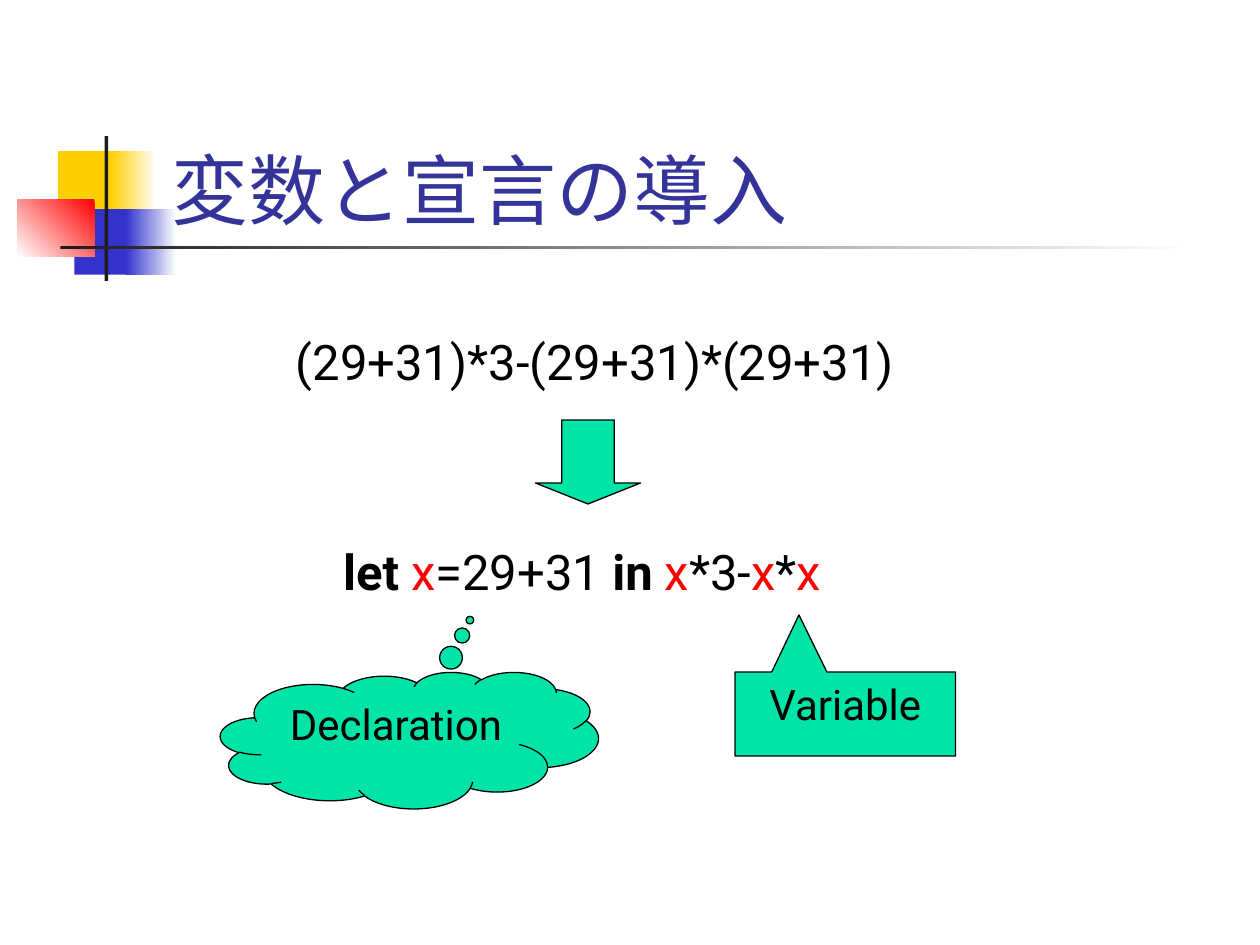
"""Build the slide that introduces variables and declarations."""
from pptx import Presentation
from pptx.dml.color import RGBColor
from pptx.enum.shapes import MSO_SHAPE
from pptx.enum.text import MSO_ANCHOR, MSO_AUTO_SIZE, PP_ALIGN
from pptx.util import Inches, Pt

RECT = MSO_SHAPE.RECTANGLE
ARROW = MSO_SHAPE.DOWN_ARROW
CLOUD = MSO_SHAPE.CLOUD_CALLOUT
WEDGE = MSO_SHAPE.RECTANGULAR_CALLOUT
LEFT, CENTER = PP_ALIGN.LEFT, PP_ALIGN.CENTER
TOP, BOTTOM = MSO_ANCHOR.TOP, MSO_ANCHOR.BOTTOM
FIXED, GROW = MSO_AUTO_SIZE.NONE, MSO_AUTO_SIZE.SHAPE_TO_FIT_TEXT

WHITE = RGBColor(0xFF, 0xFF, 0xFF)
BLACK = RGBColor(0x00, 0x00, 0x00)
INK = RGBColor(0x1C, 0x1C, 0x1C)
GOLD = RGBColor(0xFF, 0xCF, 0x01)
BLUE = RGBColor(0x33, 0x33, 0xCC)
NAVY = RGBColor(0x33, 0x33, 0x99)
RED = RGBColor(0xFF, 0x00, 0x00)
MINT = RGBColor(0x00, 0xE4, 0xA8)

deck = Presentation()
deck.slide_width, deck.slide_height = Inches(10), Inches(7.5)
COL, ROW = deck.slide_width / 120, deck.slide_height / 90
slide = deck.slides.add_slide(deck.slide_layouts[5])
shapes = slide.shapes


def place(col, row, wide, high):
    return [round(n) for n in (col * COL, row * ROW, wide * COL, high * ROW)]


def write(shape, runs, size, align=LEFT, **frame):
    text = shape.text_frame
    for key, value in frame.items():
        setattr(text, key, value)
    para = text.paragraphs[0]
    para.alignment = align
    for words, color, bold in runs:
        run = para.add_run()
        run.text = words
        for key, value in {"name": "Roboto", "size": Pt(size), "bold": bold}.items():
            setattr(run.font, key, value)
        run.font.color.rgb = color
    return para


BLOCKS = [
    ((5.52, 14.4, 5.76, 6.24), GOLD, None),
    ((10.56, 14.4, 4.32, 6.24), GOLD, 0),
    ((7.08, 19.92, 5.52, 6.24), BLUE, None),
    ((12, 19.92, 4.8, 6.24), BLUE, 0),
    ((1.68, 18.96, 7.32, 5.52), RED, 225),
    ((9.96, 12.96, 0.36, 13.8), INK, None),
    ((5.76, 23.4, 108, 0.36), INK, 0),
]
for spot, color, angle in BLOCKS:
    block = shapes.add_shape(RECT, *place(*spot))
    block.shadow.inherit = False
    block.line.fill.background()
    if angle is None:
        block.fill.solid()
        block.fill.fore_color.rgb = color
    else:
        block.fill.gradient()
        block.fill.gradient_angle = angle
        for stop, shade in zip(block.fill.gradient_stops, (color, WHITE)):
            stop.color.rgb = shade

title = shapes.title
title.left, title.top, title.width, title.height = place(15.12, 8, 102.24, 15)
write(title, [("変数と宣言の導入", NAVY, False)], 44,
      vertical_anchor=BOTTOM, auto_size=FIXED, word_wrap=True)
shapes.element.append(title.element)

SUM = [("(29+31)*3-(29+31)*(29+31)", BLACK, False)]
LET = [
    ("let ", BLACK, True), ("x", RED, False), ("=29+31 ", BLACK, False),
    ("in ", BLACK, True), ("x", RED, False), ("*3-", BLACK, False),
    ("x", RED, False), ("*", BLACK, False), ("x", RED, False),
]
for spot, runs, wrap, gap in [
    ((27, 31, 73, 6.84), SUM, True, 17.5),
    ((31.5, 51, 51.84, 6.84), LET, False, 0),
]:
    box = shapes.add_textbox(*place(*spot))
    para = write(box, runs, 28, word_wrap=wrap, auto_size=GROW)
    para.space_before = Pt(gap)

for kind, spot, bends, label in [
    (ARROW, (51, 40, 10, 8), (0.5, 0.25), ""),
    (CLOUD, (21, 64, 36, 13), (0.16, -0.88), "Declaration"),
    (WEDGE, (70, 64, 21, 8), (-0.21, -1.18), "Variable"),
]:
    shape = shapes.add_shape(kind, *place(*spot))
    shape.shadow.inherit = False
    shape.fill.solid()
    shape.fill.fore_color.rgb = MINT
    shape.line.color.rgb = BLACK
    shape.line.width = Pt(0.75)
    for index, bend in enumerate(bends):
        shape.adjustments[index] = bend
    if label:
        write(shape, [(label, BLACK, False)], 24, CENTER,
              vertical_anchor=TOP, word_wrap=True)

deck.save("out.pptx")
